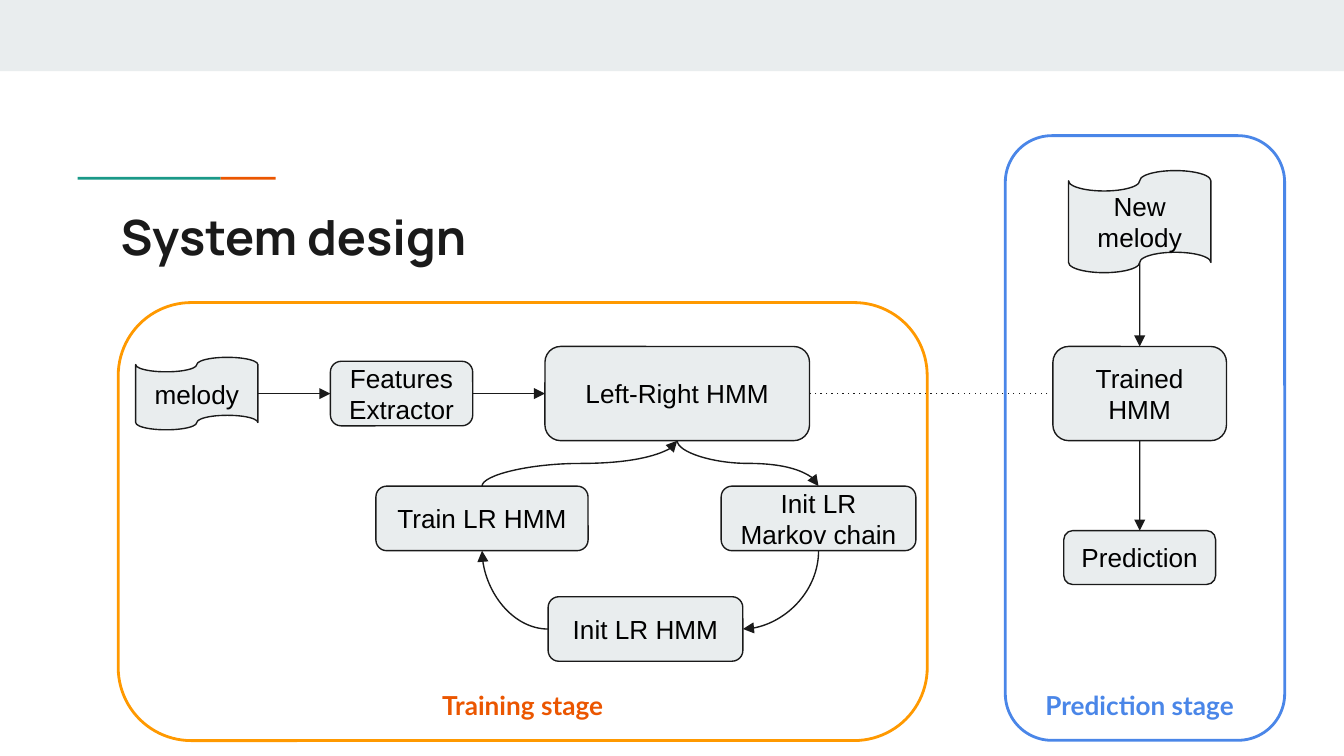
from dataclasses import dataclass

import pptx
import pptx.dml.color
import pptx.enum.shapes
import pptx.enum.text
import pptx.oxml.ns
import pptx.util
from lxml import etree

Cm = pptx.util.Cm
RGB = pptx.dml.color.RGBColor
KIND = pptx.enum.shapes.MSO_SHAPE
LINK = pptx.enum.shapes.MSO_CONNECTOR
ALIGN = pptx.enum.text.PP_ALIGN
ANCHOR = pptx.enum.text.MSO_ANCHOR
qn = pptx.oxml.ns.qn

PALE = RGB(0xE9, 0xED, 0xEE)
INK = RGB(0x1A, 0x1A, 0x1A)
BLACK = RGB(0, 0, 0)
TEAL = RGB(0x1A, 0x99, 0x88)
RUST = RGB(0xEB, 0x56, 0x00)
AMBER = RGB(0xFF, 0x99, 0x00)
BLUE = RGB(0x4A, 0x86, 0xE8)

TOP, LEFT, BOTTOM, RIGHT = range(4)


@dataclass(frozen=True)
class Box:
    """An area in centimetres, placed by its centre."""
    x: float
    y: float
    wide: float
    high: float
    text: str = ""
    kind: KIND = KIND.ROUNDED_RECTANGLE

    def area(self) -> tuple:
        return (Cm(self.x - self.wide / 2), Cm(self.y - self.high / 2),
                Cm(self.wide), Cm(self.high))

    def side(self, site: int) -> tuple[float, float]:
        """Middle of one side, in centimetres."""
        dx, dy = ((0, -1), (-1, 0), (0, 1), (1, 0))[site]
        return self.x + dx * self.wide / 2, self.y + dy * self.high / 2


@dataclass(frozen=True)
class Curve:
    start: Box
    out: int
    end: Box
    into: int
    form: str
    turn: int
    flip: bool = False


@dataclass(frozen=True)
class Stage:
    frame: Box
    label: Box
    line: RGB
    ink: RGB


ROW, LOOP, MID, LAST = 7.44, 9.8, 12.8, 21.54
TAPE = KIND.FLOWCHART_PUNCHED_TAPE

melody = Box(3.72, ROW, 2.31, 1.37, "melody", TAPE)
feats = Box(7.59, ROW, 2.69, 1.22, "Features Extractor")
model = Box(MID, ROW, 5, 1.78, "Left-Right HMM")
chain = Box(15.47, LOOP, 3.68, 1.22, "Init LR Markov chain")
init = Box(12.2, 11.89, 3.68, 1.22, "Init LR HMM")
train = Box(9.11, LOOP, 4.01, 1.22, "Train LR HMM")
fresh = Box(LAST, 4.19, 2.69, 1.93, "New\nmelody", TAPE)
ready = Box(LAST, ROW, 3.28, 1.78, "Trained\nHMM")
guess = Box(LAST, 10.54, 2.87, 1.02, "Prediction")
BOXES = (melody, feats, model, chain, init, train, fresh, ready, guess)

CURVES = (
    Curve(model, BOTTOM, chain, TOP, "curvedConnector3", 270, True),
    Curve(chain, BOTTOM, init, RIGHT, "curvedConnector2", 90),
    Curve(init, LEFT, train, BOTTOM, "curvedConnector2", 180),
    Curve(train, TOP, model, BOTTOM, "curvedConnector3", 270),
)

STAGES = (
    Stage(Box(9.88, 9.86, 15.29, 8.28),
          Box(9.88, 13.39, 4.01, 1.22, "Training stage"), AMBER, RUST),
    Stage(Box(21.64, 8.28, 5.28, 11.43),
          Box(LAST, 13.39, 4.62, 1.22, "Prediction stage"), BLUE, BLUE),
)


def write(shape, text: str, font: str, size: float, ink: RGB,
          bold: bool = False, align=ALIGN.CENTER, anchor=ANCHOR.TOP) -> None:
    frame = shape.text_frame
    frame.word_wrap = True
    frame.vertical_anchor = anchor
    frame.margin_left = frame.margin_right = Cm(0.25)
    frame.margin_top = frame.margin_bottom = Cm(0.25)
    para = frame.paragraphs[0]
    para.alignment = align
    for i, part in enumerate(text.split("\n")):
        if i:
            para.add_line_break()
        run = para.add_run()
        run.text = part
        run.font.name = font
        run.font.size = pptx.util.Pt(size)
        run.font.bold = bold
        run.font.color.rgb = ink


def draw(slide, box: Box, fill: RGB | None, line: RGB | None = None,
         width: float = 0.75):
    shape = slide.shapes.add_shape(box.kind, *box.area())
    shape.shadow.inherit = False
    if fill is None:
        shape.fill.background()
    else:
        shape.fill.solid()
        shape.fill.fore_color.rgb = fill
    if line is None:
        shape.line.fill.background()
    else:
        shape.line.color.rgb = line
        shape.line.width = pptx.util.Pt(width)
    if box.text:
        write(shape, box.text, "Arial", 14, BLACK, anchor=ANCHOR.MIDDLE)
    return shape


def style(link, dotted: bool = False) -> None:
    """Give a connector its line, and an arrowhead unless it is dotted."""
    link.line.color.rgb = INK
    link.line.width = pptx.util.Pt(0.75)
    props = link._element.spPr
    line = props.find(qn("a:ln"))
    if dotted:
        etree.SubElement(line, qn("a:prstDash"), val="dot")
    else:
        etree.SubElement(line, qn("a:tailEnd"), type="triangle")
    etree.SubElement(props, qn("a:effectLst"))


def join(slide, made: dict, start: Box, out: int, end: Box, into: int,
         dotted: bool = False) -> None:
    points = (*start.side(out), *end.side(into))
    link = slide.shapes.add_connector(LINK.STRAIGHT, *map(Cm, points))
    link.begin_connect(made[start], out)
    link.end_connect(made[end], into)
    style(link, dotted)


def bend(slide, curve: Curve) -> None:
    """Draw a curve whose unturned frame shares the centre of its ends."""
    x1, y1 = curve.start.side(curve.out)
    x2, y2 = curve.end.side(curve.into)
    wide, high = abs(x2 - x1), abs(y2 - y1)
    if curve.turn % 180:
        wide, high = high, wide
    left, top, w, h = Box((x1 + x2) / 2, (y1 + y2) / 2, wide, high).area()
    link = slide.shapes.add_connector(LINK.CURVE, left, top, left + w, top + h)
    props = link._element.spPr
    props.find(qn("a:prstGeom")).set("prst", curve.form)
    frame = props.find(qn("a:xfrm"))
    frame.set("rot", str(curve.turn * 60000))
    if curve.flip:
        frame.set("flipH", "1")
    style(link)


def main() -> None:
    deck = pptx.Presentation()
    deck.slide_width, deck.slide_height = Cm(25.4), Cm(14.29)
    slide = deck.slides.add_slide(deck.slide_layouts[6])

    draw(slide, Box(12.7, 0.67, 25.4, 1.35, kind=KIND.RECTANGLE), PALE)
    draw(slide, Box(2.82, 3.37, 2.7, 0.05, kind=KIND.RECTANGLE), TEAL)
    draw(slide, Box(4.69, 3.37, 1.04, 0.05, kind=KIND.RECTANGLE), RUST)
    title = slide.shapes.add_textbox(Cm(2.03), Cm(3.66), Cm(21.36), Cm(1.5))
    write(title, "System design", "Manrope", 26, INK, True, ALIGN.LEFT)

    made = {box: draw(slide, box, PALE, INK) for box in BOXES}
    join(slide, made, melody, RIGHT, feats, LEFT)
    join(slide, made, feats, RIGHT, model, LEFT)
    join(slide, made, ready, BOTTOM, guess, TOP)
    join(slide, made, ready, LEFT, model, RIGHT, dotted=True)

    # The tape's wavy edge lies a tenth of its height above its frame.
    edge = fresh.side(BOTTOM)[1] - fresh.high / 10
    drop = slide.shapes.add_connector(
        LINK.STRAIGHT, Cm(LAST), Cm(edge), *map(Cm, ready.side(TOP)))
    drop.end_connect(made[ready], TOP)
    style(drop)
    for curve in CURVES:
        bend(slide, curve)

    for stage in STAGES:
        draw(slide, stage.frame, None, stage.line, 1.5)
        label = slide.shapes.add_textbox(*stage.label.area())
        write(label, stage.label.text, "Lato", 14, stage.ink, True)
    deck.save("out.pptx")


if __name__ == "__main__":
    main()
